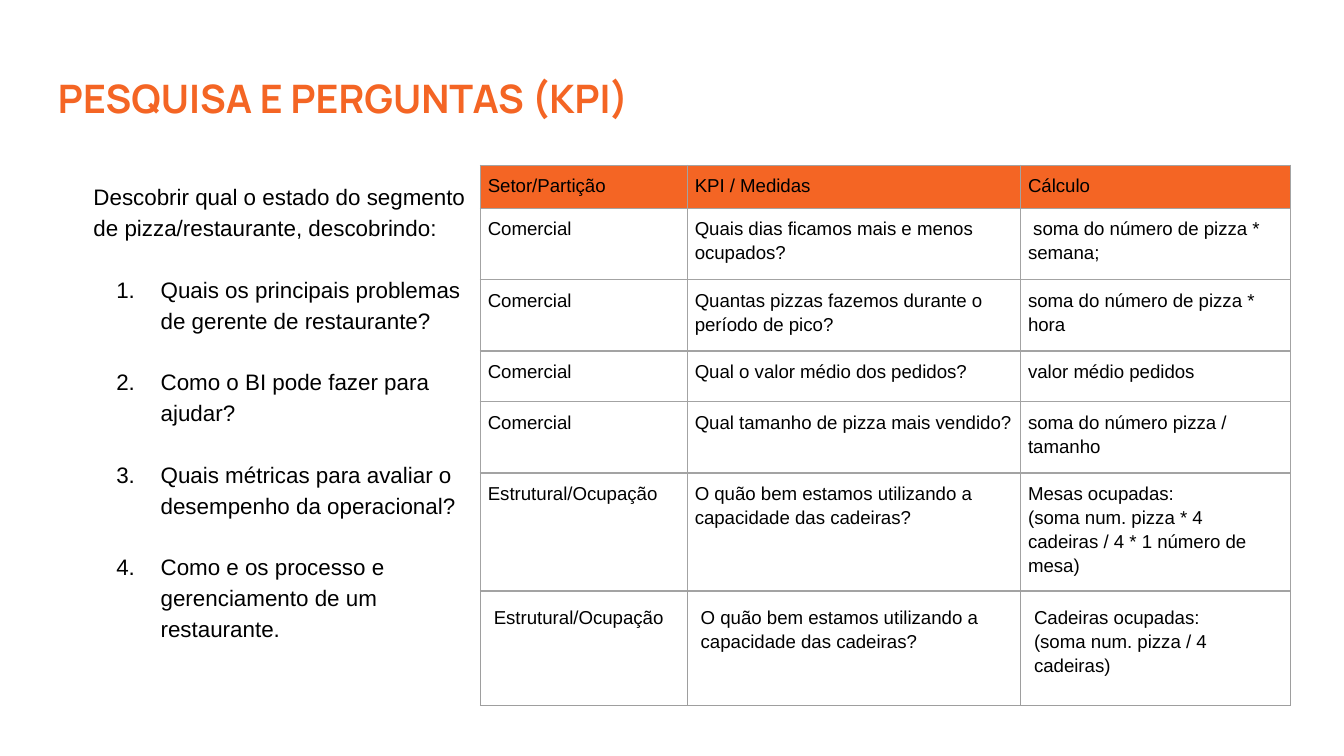
from dataclasses import dataclass

from lxml import etree
from pptx import Presentation
from pptx.dml.color import RGBColor
from pptx.enum.lang import MSO_LANGUAGE_ID
from pptx.enum.text import MSO_ANCHOR
from pptx.oxml.ns import qn
from pptx.util import Inches, Pt

TOP = MSO_ANCHOR.TOP
PORTUGUESE = MSO_LANGUAGE_ID.BRAZILIAN_PORTUGUESE
WIDTH = Inches(10)
HEIGHT = WIDTH * 9 // 16


@dataclass(frozen=True)
class Theme:
    accent: str = "F46524"
    ink: str = "000000"
    paper: str = "FFFFFF"
    grid: str = "A3A3A3"
    last_grid: str = "9E9E9E"
    title_font: str = "Manrope"
    text_font: str = "Arial"
    title_size: float = 21
    body_size: float = 12
    table_size: float = 10
    line_spacing: float = 1.15
    paragraph_gap: float = 16.5
    grid_width: float = 0.91
    last_grid_width: float = 0.75
    cell_margin: float = 4
    last_cell_margin: float = 7.2


THEME = Theme()

TITLE = "PESQUISA E PERGUNTAS (KPI)"
INTRODUCTION = "Descobrir qual o estado do segmento de pizza/restaurante, descobrindo:"
QUESTIONS = [
    "Quais os principais problemas de gerente de restaurante?",
    "Como o BI pode fazer para ajudar?",
    "Quais métricas para avaliar o desempenho da operacional?",
    "Como e os processo e gerenciamento de um restaurante.",
]
SALES, STRUCTURE = "Comercial", "Estrutural/Ocupação"
CAPACITY = "O quão bem estamos utilizando a capacidade das cadeiras?"
KPI_ROWS = [
    ("Setor/Partição", "KPI / Medidas", "Cálculo"),
    (SALES, "Quais dias ficamos mais e menos ocupados?", " soma do número de pizza * semana;"),
    (SALES, "Quantas pizzas fazemos durante o período de pico?", "soma do número de pizza * hora"),
    (SALES, "Qual o valor médio dos pedidos?", "valor médio pedidos"),
    (SALES, "Qual tamanho de pizza mais vendido?", "soma do número pizza / tamanho"),
    (STRUCTURE, CAPACITY, "Mesas ocupadas:\n(soma num. pizza * 4 cadeiras / 4 * 1 número de mesa)"),
    (STRUCTURE, CAPACITY, "Cadeiras ocupadas:\n(soma num. pizza / 4 cadeiras)"),
]
COLUMN_SHARES = [15.4, 24.8, 20.1]
ROW_SHARES = [5.68, 9.46, 9.46, 6.68, 9.46, 13.43, 15.1]


def across(percent):
    return round(WIDTH * percent / 100)


def down(percent):
    return round(HEIGHT * percent / 100)


def format_text(text_frame, font_name, size, color, bold=False, spacing=1.0):
    for paragraph in text_frame.paragraphs:
        paragraph.line_spacing = spacing
        for run in paragraph.runs:
            run.font.name = font_name
            run.font.size = Pt(size)
            run.font.bold = bold
            run.font.language_id = PORTUGUESE
            run.font.color.rgb = RGBColor.from_string(color)


def set_margins(target, margin):
    target.margin_left = target.margin_right = margin
    target.margin_top = target.margin_bottom = margin


def add_text(slide, left, top, width, height, text):
    shape = slide.shapes.add_textbox(across(left), down(top), across(width), down(height))
    text_frame = shape.text_frame
    text_frame.word_wrap = True
    text_frame.vertical_anchor = TOP
    set_margins(text_frame, Inches(0.1))
    text_frame.text = text
    return text_frame


def number_paragraph(paragraph):
    properties = paragraph._p.get_or_add_pPr()
    properties.set("marL", str(Inches(0.5)))
    properties.set("indent", str(-Inches(0.33)))
    color = etree.SubElement(properties, qn("a:buClr"))
    etree.SubElement(color, qn("a:srgbClr"), val=THEME.ink)
    etree.SubElement(properties, qn("a:buFont"), typeface=THEME.text_font)
    etree.SubElement(properties, qn("a:buAutoNum"), type="arabicPeriod")


def add_title(slide):
    text_frame = add_text(slide, 3.33, 8.08, 93.2, 12.5, TITLE)
    format_text(text_frame, THEME.title_font, THEME.title_size, THEME.accent, bold=True)


def add_questions(slide):
    text = "\n".join([INTRODUCTION, *QUESTIONS])
    text_frame = add_text(slide, 5.97, 21.93, 29.8, 75.6, text)
    format_text(text_frame, THEME.text_font, THEME.body_size, THEME.ink,
                spacing=THEME.line_spacing)
    for paragraph in text_frame.paragraphs[1:]:
        paragraph.space_before = Pt(THEME.paragraph_gap)
        number_paragraph(paragraph)


def make_border(side, color, width):
    line = etree.Element(qn(f"a:ln{side}"), w=str(Pt(width)))
    fill = etree.SubElement(line, qn("a:solidFill"))
    etree.SubElement(fill, qn("a:srgbClr"), val=color)
    return line


def set_borders(cell, is_last):
    regular = (THEME.grid, THEME.grid_width)
    other = (THEME.last_grid, THEME.last_grid_width) if is_last else regular
    styles = {"L": other, "R": other, "T": regular, "B": other}
    properties = cell._tc.get_or_add_tcPr()
    for position, (side, style) in enumerate(styles.items()):
        properties.insert(position, make_border(side, *style))


def format_cell(cell, text, is_header, is_last):
    cell.text_frame.text = text
    cell.vertical_anchor = TOP
    set_margins(cell, Pt(THEME.last_cell_margin if is_last else THEME.cell_margin))
    format_text(cell.text_frame, THEME.text_font, THEME.table_size, THEME.ink,
                spacing=THEME.line_spacing)
    cell.fill.solid()
    cell.fill.fore_color.rgb = RGBColor.from_string(THEME.accent if is_header else THEME.paper)
    set_borders(cell, is_last)


def add_kpi_table(slide):
    frame = slide.shapes.add_table(
        len(ROW_SHARES), len(COLUMN_SHARES), across(35.74), down(21.87),
        across(sum(COLUMN_SHARES)), down(sum(ROW_SHARES)))
    table = frame.table
    table.horz_banding = False
    for column, share in zip(table.columns, COLUMN_SHARES):
        column.width = across(share)
    for row, share in zip(table.rows, ROW_SHARES):
        row.height = down(share)
    last = len(KPI_ROWS) - 1
    for row_index, texts in enumerate(KPI_ROWS):
        for column_index, text in enumerate(texts):
            cell = table.cell(row_index, column_index)
            format_cell(cell, text, row_index == 0, row_index == last)


def main():
    presentation = Presentation()
    presentation.slide_width, presentation.slide_height = WIDTH, HEIGHT
    slide = presentation.slides.add_slide(presentation.slide_layouts[6])
    add_title(slide)
    add_questions(slide)
    add_kpi_table(slide)
    presentation.save("out.pptx")


if __name__ == "__main__":
    main()
